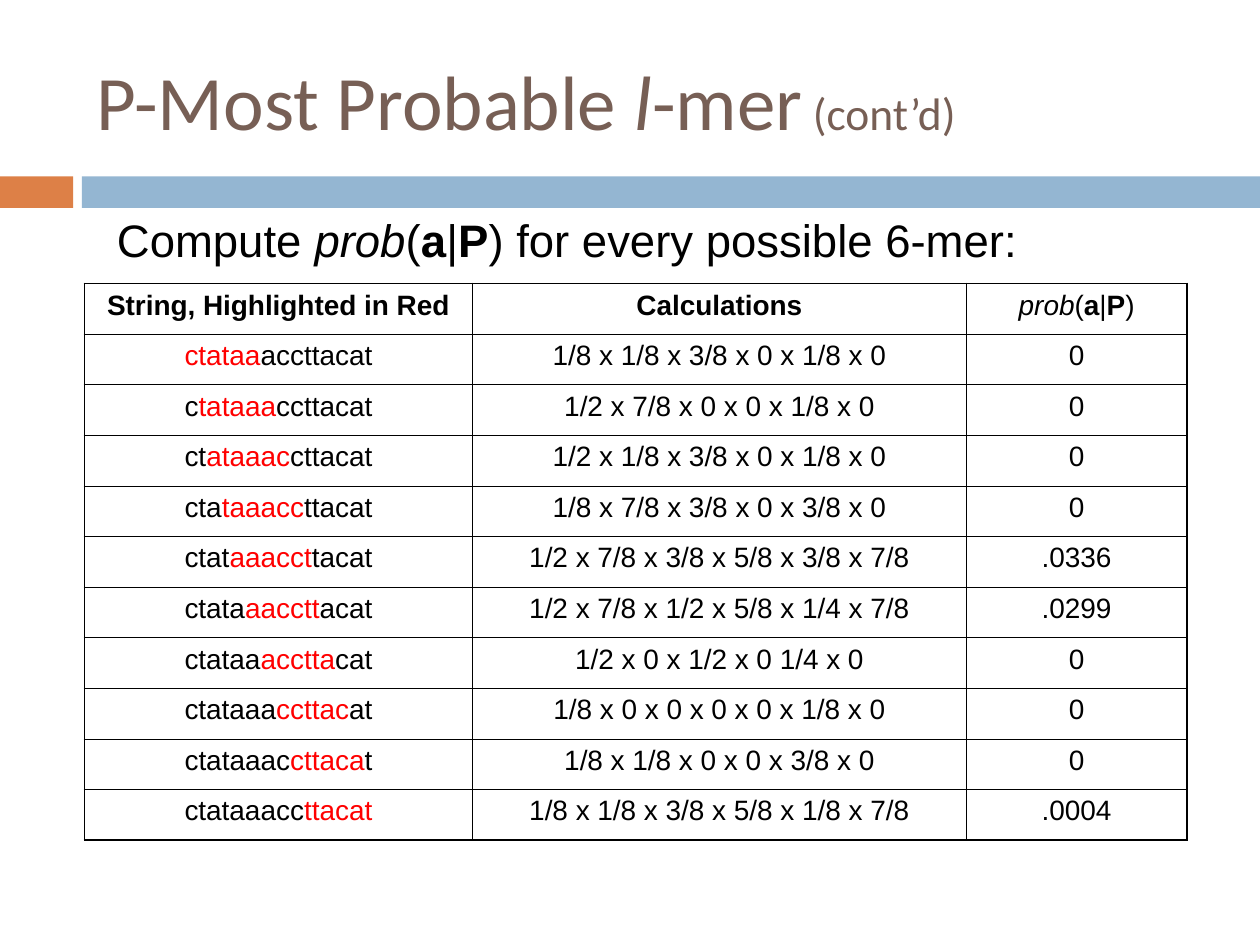
"""Build the slide that scores every 6-mer of a string against profile P."""
import pptx
import pptx.util
import pptx.dml.color
import pptx.enum.shapes
import pptx.enum.text
import pptx.oxml

Inches, Pt = pptx.util.Inches, pptx.util.Pt
RGB = pptx.dml.color.RGBColor
ANCHOR, ALIGN = pptx.enum.text.MSO_ANCHOR, pptx.enum.text.PP_ALIGN

COLORS = {"brown": "775F55", "orange": "DD8047", "blue": "94B6D2",
          "black": "000000", "red": "FF0000"}

BARS = [(0, 0.58, "orange"), (0.65, 9.35, "blue")]
TITLE = [("P-Most Probable ", {}), ("l", {"italic": True}), ("-mer", {}),
         (" (cont’d)", {"size": 26})]
PROB = [("prob", {"italic": True}), ("(", {}), ("a", {"bold": True}),
        ("|", {}), ("P", {"bold": True}), (")", {})]
LEAD = [("Compute ", {}), *PROB, (" for every possible 6-mer:", {})]
HEADS = [[("String, Highlighted in Red", {"bold": True})],
         [("Calculations", {"bold": True})], PROB]
WORD, SPAN = "ctataaaccttacat", 6
SCORES = [
    ("1/8 x 1/8 x 3/8 x 0 x 1/8 x 0", "0"),
    ("1/2 x 7/8 x 0 x 0 x 1/8 x 0", "0"),
    ("1/2 x 1/8 x 3/8 x 0 x 1/8 x 0", "0"),
    ("1/8 x 7/8 x 3/8 x 0 x 3/8 x 0", "0"),
    ("1/2 x 7/8 x 3/8 x 5/8 x 3/8 x 7/8", ".0336"),
    ("1/2 x 7/8 x 1/2 x 5/8 x 1/4 x 7/8", ".0299"),
    ("1/2 x 0 x 1/2 x 0 1/4 x 0", "0"),
    ("1/8 x 0 x 0 x 0 x 0 x 1/8 x 0", "0"),
    ("1/8 x 1/8 x 0 x 0 x 3/8 x 0", "0"),
    ("1/8 x 1/8 x 3/8 x 5/8 x 1/8 x 7/8", ".0004"),
]
WIDTHS, HEIGHT = [3.08, 3.92, 1.75], 4.42
THIN, THICK = 0.45, 1.08


def write(para, runs, face, size, color):
    for text, look in runs:
        run = para.add_run()
        run.text = text
        font = run.font
        font.name = face
        font.size = Pt(look.get("size", size))
        font.bold = look.get("bold", False)
        font.italic = look.get("italic", False)
        font.color.rgb = RGB.from_string(COLORS[look.get("color", color)])


def add_text(slide, place, runs, face, size, color, anchor):
    frame = slide.shapes.add_textbox(*map(Inches, place)).text_frame
    frame.word_wrap = True
    frame.vertical_anchor = anchor
    write(frame.paragraphs[0], runs, face, size, color)


def add_bar(slide, left, width, color):
    bar = slide.shapes.add_shape(
        pptx.enum.shapes.MSO_SHAPE.RECTANGLE,
        Inches(left), Inches(1.4), Inches(width), Inches(0.25))
    bar.shadow.inherit = False
    bar.fill.solid()
    bar.fill.fore_color.rgb = RGB.from_string(COLORS[color])
    bar.line.fill.background()


def mark(start):
    end = start + SPAN
    parts = [(WORD[:start], {}), (WORD[start:end], {"color": "red"}),
             (WORD[end:], {})]
    return [part for part in parts if part[0]]


def rule(cell, outer):
    props = cell._tc.get_or_add_tcPr()
    for spot, (side, edge) in enumerate(zip("LRTB", outer)):
        width = Pt(THICK if edge else THIN)
        props.insert(spot, pptx.oxml.parse_xml(
            f'<a:ln{side} xmlns:a="http://schemas.openxmlformats.org/drawingml/2006/main"'
            f' w="{width}"><a:solidFill><a:srgbClr val="{COLORS["black"]}"/>'
            f'</a:solidFill></a:ln{side}>'))


def add_grid(slide):
    rows = [HEADS] + [[mark(start), [(calc, {})], [(prob, {})]]
                      for start, (calc, prob) in enumerate(SCORES)]
    last, right = len(rows) - 1, len(WIDTHS) - 1
    grid = slide.shapes.add_table(
        len(rows), len(WIDTHS), Inches(0.67), Inches(2.25),
        Inches(sum(WIDTHS)), Inches(HEIGHT)).table
    grid.first_row = grid.horz_banding = False
    for col, width in zip(grid.columns, WIDTHS):
        col.width = Inches(width)
    for r, row in enumerate(rows):
        grid.rows[r].height = Inches(HEIGHT / len(rows))
        for c, runs in enumerate(row):
            cell = grid.cell(r, c)
            cell.fill.background()
            rule(cell, (c == 0, c == right, r == 0, r == last))
            para = cell.text_frame.paragraphs[0]
            para.alignment = ALIGN.CENTER
            write(para, runs, "Arial", 16, "black")


def main():
    deck = pptx.Presentation()
    deck.slide_width, deck.slide_height = Inches(10), Inches(7.5)
    slide = deck.slides.add_slide(deck.slide_layouts[6])
    for bar in BARS:
        add_bar(slide, *bar)
    add_text(slide, (0.67, 0.25, 8.92, 1.08), TITLE, "Calibri", 44, "brown",
             ANCHOR.MIDDLE)
    add_grid(slide)
    add_text(slide, (0.83, 1.63, 8.67, 0.54), LEAD, "Arial", 26, "black",
             ANCHOR.TOP)
    deck.save("out.pptx")


if __name__ == "__main__":
    main()
